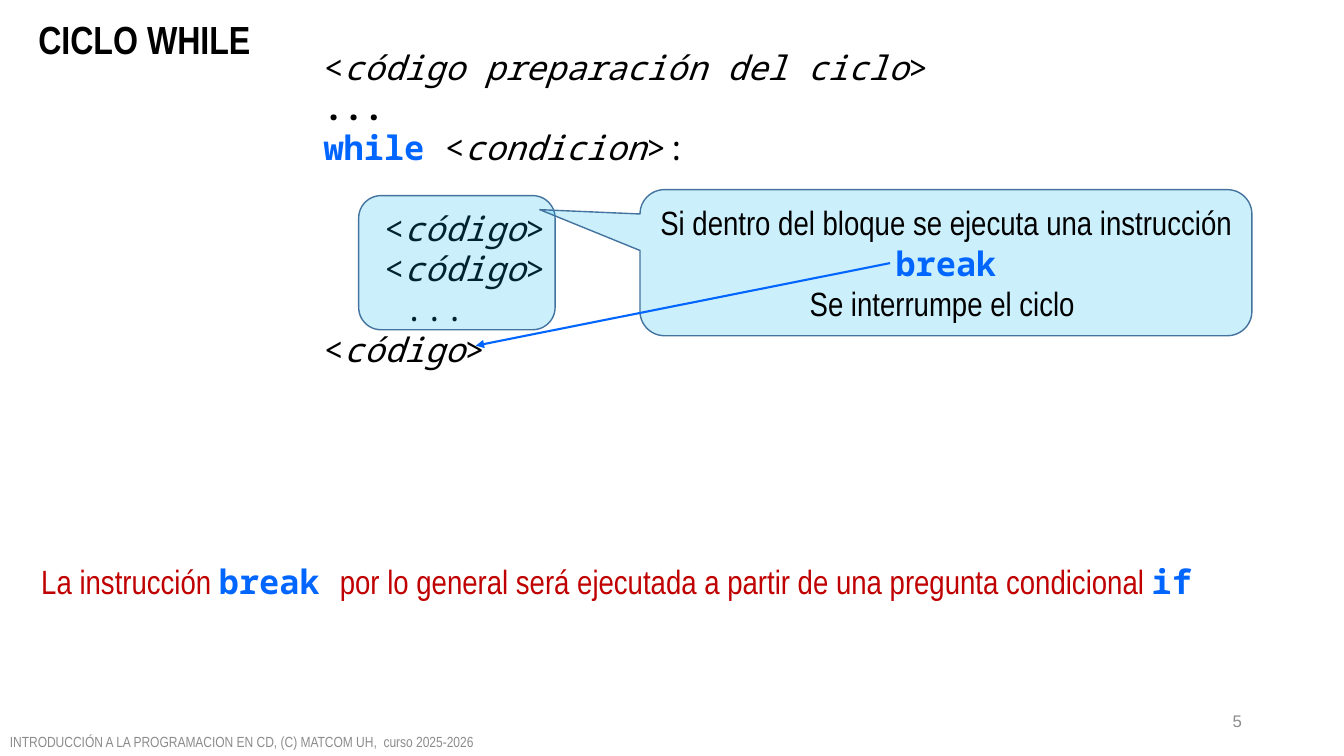
import dataclasses

import pptx
import pptx.dml.color
import pptx.enum.shapes
import pptx.enum.text
import pptx.oxml
import pptx.oxml.ns
import pptx.util

Cm = pptx.util.Cm
Pt = pptx.util.Pt
RGB = pptx.dml.color.RGBColor.from_string
ALIGN = pptx.enum.text.PP_ALIGN
ANCHOR = pptx.enum.text.MSO_ANCHOR
SHAPE = pptx.enum.shapes.MSO_SHAPE


@dataclasses.dataclass(frozen=True)
class Theme:
    black: str = "000000"
    white: str = "FFFFFF"
    blue: str = "0066FF"
    red: str = "C00000"
    grey: str = "8C8C8C"
    sky: str = "00B0F0"
    outline: str = "43739E"
    sans: str = "Arial"
    narrow: str = "Arial Narrow"
    mono: str = "Noto Sans Mono"
    title: float = 28
    body: float = 24
    number: float = 12
    footer: float = 10.5
    line: float = 28.8
    char: float = 14.4


T = Theme()


def add_run(p, text, font=T.mono, size=T.body, color=T.black, bold=False, italic=False):
    r = p.add_run()
    r.text = text
    r.font.name = font
    r.font.size = Pt(size)
    r.font.color.rgb = RGB(color)
    r.font.bold = bold
    r.font.italic = italic


def place(sp, left, top, width, height, anchor=ANCHOR.TOP):
    sp.left, sp.top, sp.width, sp.height = Cm(left), Cm(top), Cm(width), Cm(height)
    tf = sp.text_frame
    tf.word_wrap = True
    tf.auto_size = pptx.enum.text.MSO_AUTO_SIZE.NONE
    tf.vertical_anchor = anchor
    return tf


prs = pptx.Presentation()
prs.slide_width, prs.slide_height = Cm(33.87), Cm(19.05)
s = prs.slides.add_slide(prs.slide_layouts[1])
shapes = s.shapes

tf = place(shapes.title, 0.71, 0.25, 14.53, 1.45)
p = tf.paragraphs[0]
p.alignment = ALIGN.LEFT
add_run(p, "CICLO WHILE", font=T.narrow, size=T.title, bold=True)

code = s.placeholders[1]
code.fill.solid()
code.fill.fore_color.rgb = RGB(T.white)
tf = place(code, 7.9, 0.99, 17.37, 11.28)
tf.margin_top = Cm(0.18)

keyword = dict(color=T.blue, bold=True)
italic = dict(italic=True)
block_line = [("<", {}), ("código", italic), (">", {})]
code_lines = [
    (0, 0, [("<", {}), ("código preparación del ciclo", italic), (">", {})]),
    (0, 0, [("...", dict(bold=True))]),
    (0, 0, [("while", keyword), (" <", {}), ("condicion", italic), (">:", {})]),
    (3, 1, block_line),
    (3, 0, block_line),
    (4, 0, [("...", {})]),
    (0, 0, block_line),
]
for i, (indent, gap, runs) in enumerate(code_lines):
    p = tf.paragraphs[0] if i == 0 else tf.add_paragraph()
    p.alignment = ALIGN.LEFT
    p.line_spacing = Pt(T.line)
    p.space_before = Pt(gap * T.line)
    pPr = p._p.get_or_add_pPr()
    pPr.set("marL", str(Pt(indent * T.char)))
    pPr.set("indent", "0")
    pPr.append(pptx.oxml.parse_xml(f'<a:buNone {pptx.oxml.ns.nsdecls("a")}/>'))
    for text, fmt in runs:
        add_run(p, text, **fmt)

block = shapes.add_shape(SHAPE.ROUNDED_RECTANGLE, 0, 0, 0, 0)
place(block, 9.04, 4.93, 4.95, 3.38)
callout = shapes.add_shape(SHAPE.ROUNDED_RECTANGULAR_CALLOUT, 0, 0, 0, 0)
tf = place(callout, 16.13, 4.78, 15.42, 3.68, ANCHOR.MIDDLE)
for i, value in enumerate((-0.664, -0.363, 0.167)):
    callout.adjustments[i] = value
for sp in (block, callout):
    sp.shadow.inherit = False
    sp.fill.solid()
    sp.fill.fore_color.rgb = RGB(T.sky)
    color = sp.fill._xPr.find(".//" + pptx.oxml.ns.qn("a:srgbClr"))
    color.append(pptx.oxml.parse_xml(f'<a:alpha {pptx.oxml.ns.nsdecls("a")} val="20000"/>'))
    sp.line.color.rgb = RGB(T.outline)
    sp.line.width = Pt(1)

p = tf.paragraphs[0]
add_run(p, "Si dentro del bloque se ejecuta una instrucción ", font=T.narrow)
add_run(p, "break", **keyword)
add_run(tf.add_paragraph(), "Se interrumpe el ciclo ", font=T.narrow)
for p in tf.paragraphs:
    p.alignment = ALIGN.CENTER
    p.line_spacing = Pt(T.line)

note = shapes.add_textbox(0, 0, 0, 0)
note.fill.solid()
note.fill.fore_color.rgb = RGB(T.white)
p = place(note, 0.79, 14, 32.28, 1.27).paragraphs[0]
p.line_spacing = Pt(T.line)
warning = dict(font=T.narrow, color=T.red)
add_run(p, "La instrucción ", **warning)
add_run(p, "break ", **keyword)
add_run(p, "por lo general será ejecutada a partir de una pregunta condicional ", **warning)
add_run(p, "if", **keyword)

arrow = shapes.add_connector(
    pptx.enum.shapes.MSO_CONNECTOR.STRAIGHT, Cm(22.43), Cm(6.63), Cm(11.99), Cm(8.71))
arrow.line.color.rgb = RGB(T.blue)
arrow.line.width = Pt(1.5)
arrow.line._get_or_add_ln().append(
    pptx.oxml.parse_xml(f'<a:tailEnd {pptx.oxml.ns.nsdecls("a")} type="triangle"/>'))
arrow._element.spPr.append(
    pptx.oxml.parse_xml(f'<a:effectLst {pptx.oxml.ns.nsdecls("a")}/>'))

footer = shapes.add_textbox(0, 0, 0, 0)
p = place(footer, 0, 18.31, 16.93, 0.74, ANCHOR.MIDDLE).paragraphs[0]
add_run(p, "INTRODUCCIÓN A LA PROGRAMACION EN CD, (C) MATCOM UH,  curso 2025-2026",
        font=T.narrow, size=T.footer, color=T.grey)

number = shapes.add_textbox(0, 0, 0, 0)
p = place(number, 23.93, 17.65, 7.62, 1.02, ANCHOR.MIDDLE).paragraphs[0]
p.alignment = ALIGN.RIGHT
add_run(p, "5", font=T.sans, size=T.number, color=T.grey)

prs.save("out.pptx")
